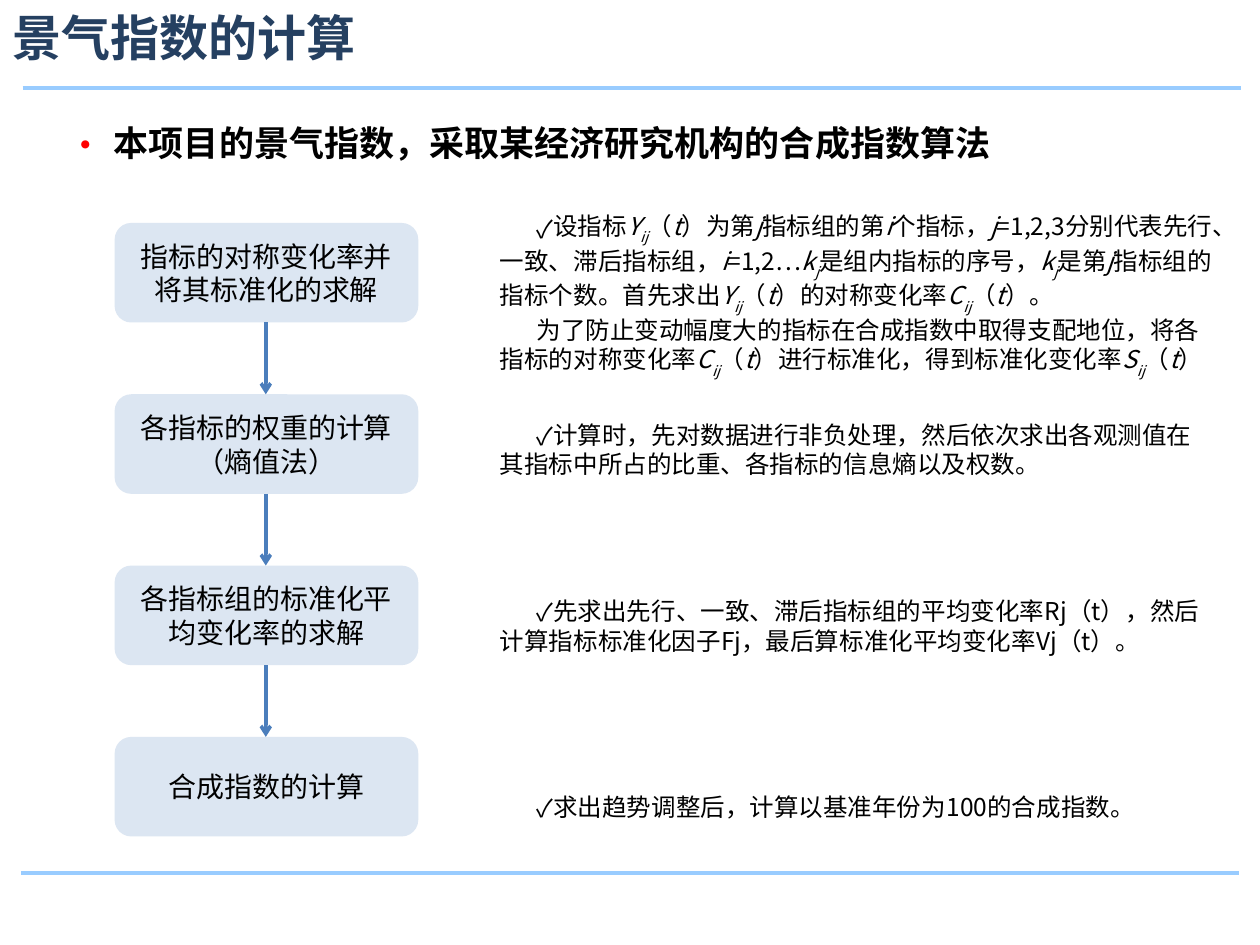
from lxml import etree
from pptx import Presentation
from pptx.dml.color import RGBColor
from pptx.enum.shapes import MSO_CONNECTOR, MSO_SHAPE
from pptx.enum.text import MSO_ANCHOR, MSO_AUTO_SIZE, PP_ALIGN
from pptx.oxml.ns import qn
from pptx.util import Pt

LINE, ROUND = MSO_CONNECTOR.STRAIGHT, MSO_SHAPE.ROUNDED_RECTANGLE
MIDDLE, GROW, NOFIT = MSO_ANCHOR.MIDDLE, MSO_AUTO_SIZE.SHAPE_TO_FIT_TEXT, MSO_AUTO_SIZE.NONE
LEFT, CENTER = PP_ALIGN.LEFT, PP_ALIGN.CENTER

# Content: *x* is italic, *x_y* is italic x with subscript y
TITLE = "景气指数的计算"
LEAD = "本项目的景气指数，采取某经济研究机构的合成指数算法"
STEPS = [
    "指标的对称变化率并将其标准化的求解",
    "各指标的权重的计算（熵值法）",
    "各指标组的标准化平均变化率的求解",
    "合成指数的计算",
]
# Each note: top, height, paragraphs
NOTES = [
    (122.4, 92.2, [
        "设指标*Y_ij*（*t*）为第*j*指标组的第*i*个指标，*j*=1,2,3分别代表先行、一致、滞后指标组，"
        "*i*=1,2…*k_j*是组内指标的序号，*k_j*是第*j*指标组的指标个数。"
        "首先求出*Y_ij*（*t*）的对称变化率*C_ij*（*t*）。",
        "为了防止变动幅度大的指标在合成指数中取得支配地位，将各指标的对称变化率"
        "*C_ij*（*t*）进行标准化，得到标准化变化率*S_ij*（*t*）",
    ]),
    (236.2, 41, ["计算时，先对数据进行非负处理，然后依次求出各观测值在其指标中所占的比重、各指标的信息熵以及权数。"]),
    (337, 41, ["先求出先行、一致、滞后指标组的平均变化率Rj（t），然后计算指标标准化因子Fj，最后算标准化平均变化率Vj（t）。"]),
    (448.6, 24.5, ["求出趋势调整后，计算以基准年份为100的合成指数。"]),
]
RULES = [(13, 50.4, 709.2), (12.2, 499, 707.8)]

THEME = {
    "font": "Noto Sans CJK SC",
    "title": {"size": 28, "color": "254061", "bold": True},
    "lead": {"size": 20, "color": "000000", "bold": True},
    "step": {"size": 16, "color": "000000", "bold": False},
    "note": {"size": 14, "color": "000000", "bold": False},
    "box": "DCE6F2", "arrow": "4B7EBC", "rule": "99CCFF", "dot": "FF0000",
}

# Geometry
STEP_X, STEP_Y, STEP_W, STEP_H, PITCH = 65.5, 127.4, 173.5, 56.9, 97.9
ARROW_X = 151.9
NOTE_X, NOTE_W = 278.6, 421.9


def put(obj, **vals):
    for key, val in vals.items():
        setattr(obj, key, val)


def sub(node, tag, **attrs):
    return etree.SubElement(node, qn(tag), attrs)


def add_run(par, text, style, **extra):
    run = par.add_run()
    run.text = text
    put(run.font, size=Pt(style["size"]), bold=style["bold"], name=THEME["font"], **extra)
    run.font.color.rgb = RGBColor.from_string(style["color"])
    props = run.font._element
    sub(props, "a:ea", typeface=THEME["font"])
    return props


def write(par, text, style):
    for i, part in enumerate(text.split("*")):
        if i % 2 == 0:
            if part:
                add_run(par, part, style)
            continue
        base, _, low = part.partition("_")
        add_run(par, base, style, italic=True)
        if low:
            add_run(par, low, style, italic=True).set("baseline", "-30000")


def indent(par, margin, first):
    props = par._p.get_or_add_pPr()
    props.set("marL", str(Pt(margin)))
    props.set("indent", str(Pt(first)))
    return props


def add_mark(props, char):
    sub(props, "a:buFont", typeface=THEME["font"])
    sub(props, "a:buChar", char=char)


def add_box(slide, x, y, w, h, **frame):
    box = slide.shapes.add_textbox(Pt(x), Pt(y), Pt(w), Pt(h))
    put(box.text_frame, word_wrap=True, **frame)
    return box.text_frame


def add_line(slide, x1, y1, x2, y2, color, width):
    line = slide.shapes.add_connector(LINE, Pt(x1), Pt(y1), Pt(x2), Pt(y2))
    line.line.color.rgb = RGBColor.from_string(color)
    line.line.width = Pt(width)
    sub(line._element.spPr, "a:effectLst")
    return line


def main():
    deck = Presentation()
    put(deck, slide_width=Pt(720), slide_height=Pt(540))
    slide = deck.slides.add_slide(deck.slide_layouts[5])

    # Rules above and below the content
    for x1, y, x2 in RULES:
        add_line(slide, x1, y, x2, y, THEME["rule"], 2.25)

    # Title
    title = slide.shapes.title
    put(title, left=Pt(0), top=Pt(0), width=Pt(705.6), height=Pt(46))
    put(title.text_frame, vertical_anchor=MIDDLE, word_wrap=True, auto_size=NOFIT,
        margin_top=Pt(0), margin_bottom=Pt(4))
    par = title.text_frame.paragraphs[0]
    par.alignment = LEFT
    write(par, TITLE, THEME["title"])

    # Lead statement with a red dot
    par = add_box(slide, 31, 61.2, 656, 101.5).paragraphs[0]
    put(par, line_spacing=1.2, space_before=Pt(6))
    props = indent(par, 27, -27)
    sub(sub(props, "a:buClr"), "a:srgbClr", val=THEME["dot"])
    sub(props, "a:buSzPct", val="110000")
    add_mark(props, "•")
    write(par, LEAD, THEME["lead"])

    # Steps, joined by arrows
    for i, text in enumerate(STEPS):
        y = STEP_Y + i * PITCH
        box = slide.shapes.add_shape(ROUND, Pt(STEP_X), Pt(y), Pt(STEP_W), Pt(STEP_H))
        box.shadow.inherit = False
        box.fill.solid()
        box.fill.fore_color.rgb = RGBColor.from_string(THEME["box"])
        box.line.fill.background()
        put(box.text_frame, word_wrap=True, vertical_anchor=MIDDLE)
        par = box.text_frame.paragraphs[0]
        par.alignment = CENTER
        write(par, text, THEME["step"])
        if i:
            arrow = add_line(slide, ARROW_X, y - PITCH + STEP_H, ARROW_X, y, THEME["arrow"], 2)
            sub(arrow.line._get_or_add_ln(), "a:tailEnd", type="arrow")

    # Notes: a tick on the first paragraph of each
    for y, h, texts in NOTES:
        frame = add_box(slide, NOTE_X, y, NOTE_W, h, vertical_anchor=MIDDLE, auto_size=GROW)
        for i, text in enumerate(texts):
            par = frame.add_paragraph() if i else frame.paragraphs[0]
            props = indent(par, 0, 21)
            if i == 0:
                add_mark(props, "✓")
            write(par, text, THEME["note"])

    deck.save("out.pptx")


if __name__ == "__main__":
    main()
